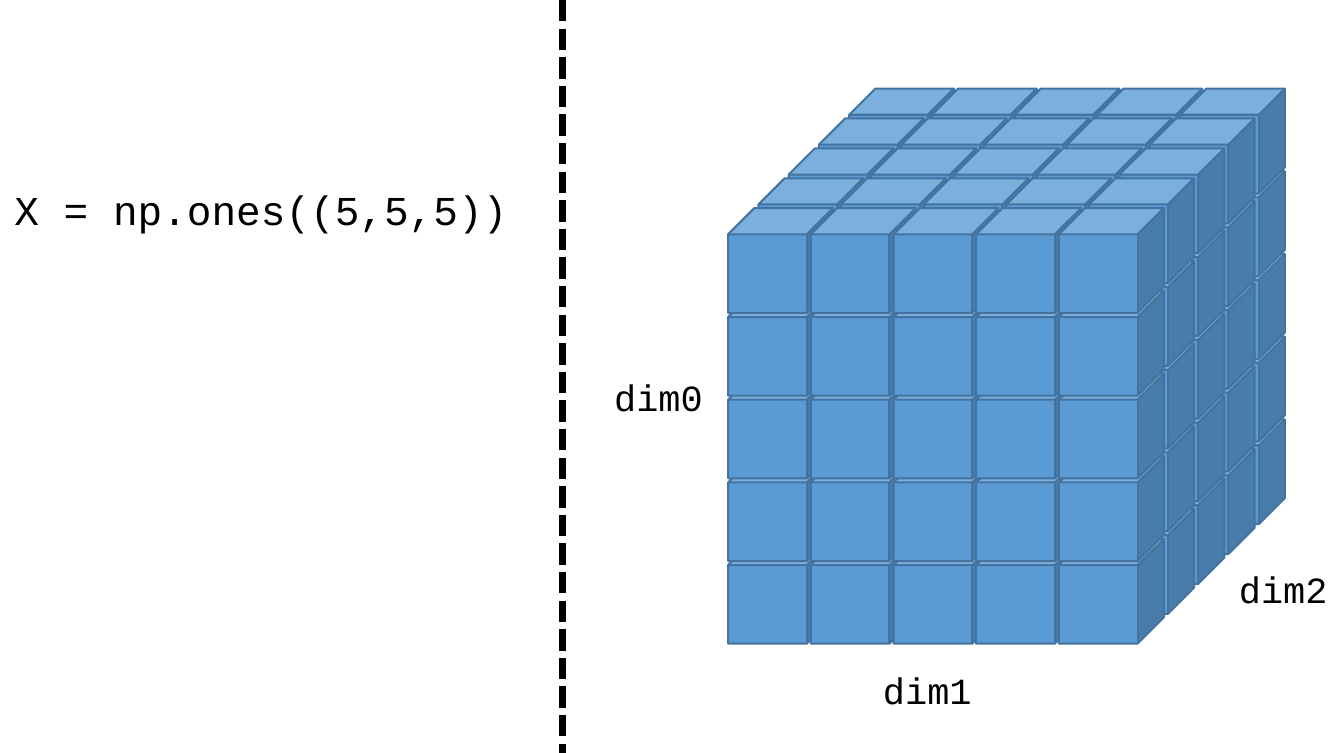
from lxml import etree
from pptx import Presentation
from pptx.dml.color import RGBColor
from pptx.enum.dml import MSO_LINE
from pptx.enum.shapes import MSO_CONNECTOR, MSO_SHAPE
from pptx.enum.text import MSO_AUTO_SIZE
from pptx.oxml.ns import qn
from pptx.util import Inches, Pt

CUBE = MSO_SHAPE.CUBE
STRAIGHT = MSO_CONNECTOR.STRAIGHT
SQUARE_DOTS = MSO_LINE.SQUARE_DOT
FIT_SHAPE = MSO_AUTO_SIZE.SHAPE_TO_FIT_TEXT

WIDTH, HEIGHT = 9.1, 5.1
SIDE = 5                          # cubes along each dimension
CUBE_SIZE = 0.71
PITCH = 0.56                      # from one cube to the next in a layer
BACK_LEFT, BACK_TOP = 5.75, 0.6   # top left cube of the rearmost layer
FRONT_LEFT, FRONT_TOP = 4.93, 1.41
DIVIDER_X = 3.81


def color(hex_string):
    """Turn a hex string into a colour."""
    return RGBColor.from_string(hex_string)


def add_text(page, text, left, top, width, height, size=18, font="Courier New", ink="000000"):
    """Place one line of text that does not wrap."""
    box = page.shapes.add_textbox(Inches(left), Inches(top), Inches(width), Inches(height))
    box.text_frame.word_wrap = False
    box.text_frame.auto_size = FIT_SHAPE
    span = box.text_frame.paragraphs[0].add_run()
    span.text = text
    span.font.name = font
    span.font.size = Pt(size)
    span.font.color.rgb = color(ink)


deck = Presentation()
deck.slide_width, deck.slide_height = Inches(WIDTH), Inches(HEIGHT)
page = deck.slides.add_slide(deck.slide_layouts[6])

# Layers run from back to front, each filled from its bottom row upwards
for depth in range(SIDE):
    share = depth / (SIDE - 1)
    layer_left = BACK_LEFT + share * (FRONT_LEFT - BACK_LEFT)
    layer_top = BACK_TOP + share * (FRONT_TOP - BACK_TOP)
    layer = page.shapes.add_group_shape()
    for row in reversed(range(SIDE)):
        for column in range(SIDE):
            cube = layer.shapes.add_shape(
                CUBE,
                Inches(layer_left + column * PITCH),
                Inches(layer_top + row * PITCH),
                Inches(CUBE_SIZE),
                Inches(CUBE_SIZE),
            )
            cube.shadow.inherit = False
            cube.fill.solid()
            cube.fill.fore_color.rgb = color("5B9BD5")
            cube.line.color.rgb = color("43739E")
            cube.line.width = Pt(1)

add_text(page, "X = np.ones((5,5,5))", 0, 1.2, 3.57, 0.44, size=20)

for name, left, top in [("dim0", 4.06, 2.49), ("dim1", 5.88, 4.47), ("dim2", 8.29, 3.79)]:
    add_text(page, name, left, top, 0.81, 0.4)

divider = page.shapes.add_connector(
    STRAIGHT, Inches(DIVIDER_X), 0, Inches(DIVIDER_X), deck.slide_height
)
divider.line.color.rgb = color("000000")
divider.line.width = Pt(3.5)
divider.line.dash_style = SQUARE_DOTS
etree.SubElement(divider._element.spPr, qn("a:effectLst"))

deck.save("out.pptx")
